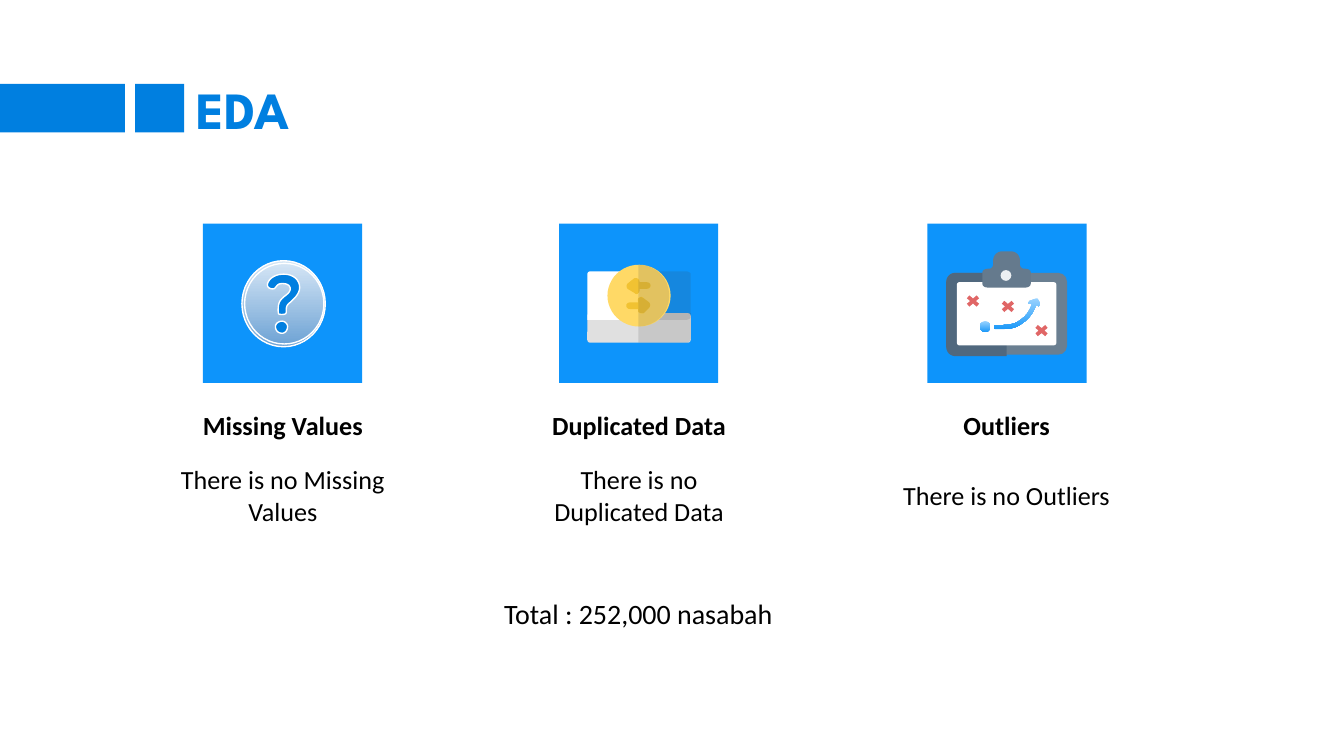
import pptx
import pptx.util
import pptx.dml.color
import pptx.enum.shapes
import pptx.enum.text
import pptx.oxml
import pptx.oxml.ns

RGB = pptx.dml.color.RGBColor
KIND = pptx.enum.shapes.MSO_SHAPE
ALIGN = pptx.enum.text.PP_ALIGN

BLUE = RGB(0x00, 0x7F, 0xE0)
TILE = RGB(0x0D, 0x94, 0xFB)
BLACK = RGB(0x00, 0x00, 0x00)
WHITE = RGB(0xFF, 0xFF, 0xFF)
SHADE = RGB(0x43, 0x43, 0x43)
CASH = RGB(0xE0, 0xE0, 0xE0)
COIN = RGB(0xFF, 0xD9, 0x66)
GOLD = RGB(0xF1, 0xC2, 0x32)
BOARD = RGB(0x6A, 0x7F, 0x91)
BOARD_DARK = RGB(0x50, 0x68, 0x7E)
CLIP = RGB(0x65, 0x7A, 0x8D)
HOLE = RGB(0xEB, 0xEF, 0xF2)
RED = RGB(0xE0, 0x66, 0x66)
DISC = (RGB(0xD4, 0xE5, 0xF5), RGB(0x70, 0xA4, 0xD5))
ROUTE = (RGB(0x99, 0xD3, 0xFF), RGB(0x1D, 0x99, 0xF8))

prs = pptx.Presentation()
prs.slide_width = pptx.util.Inches(10)
prs.slide_height = prs.slide_width * 9 // 16
slide = prs.slides.add_slide(prs.slide_layouts[6])
CELL = prs.slide_width // 1000  # grid of 1000 columns, square cells


def draw(geometry, fill, line=None, alpha=None, corner=None):
    """Draw (kind, x, y, w, h), or a list of contours: a start point, then
    line ends (2 numbers) and Bezier curves (6 numbers)."""
    if isinstance(geometry, tuple):
        sp = slide.shapes.add_shape(geometry[0], *(int(v * CELL) for v in geometry[1:]))
    else:
        builder = None
        for contour in geometry:
            pts = [contour[0]]
            for seg in contour[1:]:
                if len(seg) == 2:
                    pts.append(seg)
                    continue
                ctrl = [pts[-1], seg[:2], seg[2:4], seg[4:]]
                for t in (n / 8 for n in range(1, 9)):
                    weights = ((1 - t) ** 3, 3 * t * (1 - t) ** 2, 3 * t * t * (1 - t), t ** 3)
                    pts.append(tuple(sum(k * c[i] for k, c in zip(weights, ctrl)) for i in (0, 1)))
            pts = [(x * CELL, y * CELL) for x, y in pts]
            if builder is None:
                builder = slide.shapes.build_freeform(*pts[0])
            else:
                builder.move_to(*pts[0])
            builder.add_line_segments(pts[1:], close=True)
        sp = builder.convert_to_shape()
    sp.shadow.inherit = False
    if isinstance(fill, RGB):
        sp.fill.solid()
        sp.fill.fore_color.rgb = fill
    else:
        sp.fill.gradient()
        sp.fill.gradient_angle = 270
        for stop, color in zip(sp.fill.gradient_stops, fill):
            stop.color.rgb = color
    if alpha:
        clr = sp._element.spPr.find(".//" + pptx.oxml.ns.qn("a:srgbClr"))
        clr.append(pptx.oxml.parse_xml(
            f'<a:alpha {pptx.oxml.ns.nsdecls("a")} val="{alpha * 1000}"/>'))
    if line:
        sp.line.color.rgb = line
        sp.line.width = pptx.util.Pt(0.75)
    else:
        sp.line.fill.background()
    if corner is not None:
        sp.adjustments[0] = corner


# Header bars and icon tiles
for x, w in ((0, 93), (100.5, 36.5)):
    draw((KIND.RECTANGLE, x, 62.5, w, 36), BLUE)
for x in (151, 416, 690):
    draw((KIND.RECTANGLE, x, 166.5, 118.5, 118.5), TILE)

# Question mark icon
for x, y, w, h in ((180, 194, 62, 64), (182, 196, 59, 60)):
    draw((KIND.OVAL, x, y, w, h), DISC, line=WHITE)
draw([[(211, 204), (203, 204, 199, 209, 199, 212), (199, 214, 201, 215, 203, 215),
       (206, 215, 205, 211, 210, 211), (213, 211, 216, 212, 216, 215),
       (216, 218, 212, 220, 210, 222), (209, 223, 207, 225, 207, 230),
       (207, 234, 207, 234, 210, 234), (213, 234, 213, 233, 213, 232),
       (213, 229, 213, 227, 216, 225), (218, 223, 223, 219, 223, 214),
       (223, 208, 218, 204, 211, 204)],
      [(210, 239), (207, 239, 205, 241, 205, 243), (205, 246, 207, 248, 210, 248),
       (212, 248, 214, 246, 214, 243), (214, 241, 212, 239, 210, 239)]],
     BLUE, line=WHITE)

# Coin and cash icon
draw((KIND.ROUNDED_RECTANGLE, 437, 233, 77, 22), CASH, corner=0.1)
draw([[(475, 233), (514, 233), (514, 252), (514, 254, 512, 255, 511, 255), (475, 255)]],
     SHADE, alpha=15)
draw([[(489, 202), (511, 202), (512, 202, 514, 203, 514, 204), (514, 236),
       (514, 237, 512, 238, 511, 238), (489, 238), (486, 238, 485, 235, 487, 233),
       (495, 226, 495, 214, 487, 206), (485, 205, 486, 202, 489, 202)]], SHADE, alpha=15)
draw([[(439, 202), (438, 202, 437, 203, 437, 204), (437, 238), (462, 238),
       (465, 238, 465, 235, 463, 233), (455, 226, 455, 214, 463, 206),
       (465, 205, 464, 202, 462, 202)]], WHITE)
draw((KIND.OVAL, 452, 197, 47, 46), COIN)
draw([[(475, 197), (475, 243), (488, 243, 498, 233, 498, 220),
       (498, 207, 488, 197, 475, 197)]], SHADE, alpha=15)
draw([[(473, 207), (472, 207), (467, 211), (466, 212, 466, 214, 467, 215), (472, 218),
       (474, 220, 476, 218, 476, 215), (481, 215), (485, 215, 485, 210, 481, 210),
       (476, 210), (476, 208, 475, 207, 473, 207)]], GOLD)
draw([[(477, 221), (475, 221, 474, 223, 475, 225), (469, 225), (465, 225, 465, 230, 469, 230),
       (475, 230), (474, 232, 476, 234, 479, 233), (483, 229), (484, 228, 484, 226, 483, 225),
       (479, 222), (478, 221, 478, 221, 477, 221)]], GOLD)
draw([[(475, 208), (475, 218), (476, 217, 476, 216, 476, 215), (481, 215),
       (485, 215, 485, 210, 481, 210), (476, 210)]], SHADE, alpha=15)
draw([[(477, 221), (475, 222), (475, 232), (476, 233, 478, 233, 479, 233), (483, 229),
       (484, 228, 484, 226, 483, 225), (479, 222)]], SHADE, alpha=15)

# Clipboard icon
draw((KIND.ROUNDED_RECTANGLE, 704, 203, 90, 61), BOARD, corner=0.11)
draw([[(711, 203), (707, 203, 704, 206, 704, 210), (704, 258),
       (704, 262, 707, 265, 711, 265), (749, 265), (749, 203)]], BOARD_DARK)
draw((KIND.ROUNDED_RECTANGLE, 712, 210, 74, 47), WHITE, corner=0.04)
draw([[(746, 187), (742, 187, 739, 190, 739, 194), (739, 197), (739, 198, 738, 200, 736, 200),
       (735, 200), (733, 200, 731, 201, 731, 203), (731, 211), (731, 213, 733, 214, 735, 214),
       (763, 214), (765, 214, 767, 213, 767, 211), (767, 203), (767, 201, 765, 200, 763, 200),
       (762, 200), (760, 200, 759, 198, 759, 197), (759, 194), (759, 190, 756, 187, 752, 187)]],
     CLIP)
draw((KIND.OVAL, 744.5, 201, 8, 8), HOLE)
draw([[(771, 222), (766, 224), (765, 226), (768, 226), (766, 232, 763, 236, 758, 239),
       (754, 242, 747, 242, 741, 242), (739, 242, 739, 245, 741, 245),
       (748, 245, 755, 245, 760, 241), (765, 238, 769, 233, 771, 227),
       (773, 228), (774, 226), (772, 222)]], ROUTE)
draw((KIND.OVAL, 729, 239, 8, 8), ROUTE)
for x, y in ((719, 220), (745, 224), (770, 242)):
    draw((KIND.MATH_MULTIPLY, x - 2, y - 2, 14, 12), RED)

# Title, findings and total
texts = [("EDA", 136.5, 57.5, 678, 47, 28, "League Spartan", BLUE, True, ALIGN.LEFT),
         ("Total : 252,000 nasabah", 322, 434.5, 306, 44, 15, "Calibri", BLACK, False, ALIGN.CENTER)]
for name, center, width in (("Missing Values", 210.5, 183), ("Duplicated Data", 475.5, 195),
                            ("Outliers", 749, 162)):
    for text, y, w, h, bold in ((name, 294, width, 44, True),
                                ("There is no " + name, 330, 183, 77, False)):
        texts.append((text, center - w / 2, y, w, h, 14, "Calibri", BLACK, bold, ALIGN.CENTER))
for text, x, y, w, h, size, font, color, bold, align in texts:
    sp = slide.shapes.add_textbox(*(int(v * CELL) for v in (x, y, w, h)))
    tf = sp.text_frame
    tf.word_wrap = True
    tf.vertical_anchor = pptx.enum.text.MSO_ANCHOR.MIDDLE
    tf.margin_left = tf.margin_right = tf.margin_top = tf.margin_bottom = 10 * CELL
    p = tf.paragraphs[0]
    p.text = text
    p.alignment = align
    p.font.name = font
    p.font.size = pptx.util.Pt(size)
    p.font.bold = bold
    p.font.color.rgb = color

prs.save("out.pptx")
